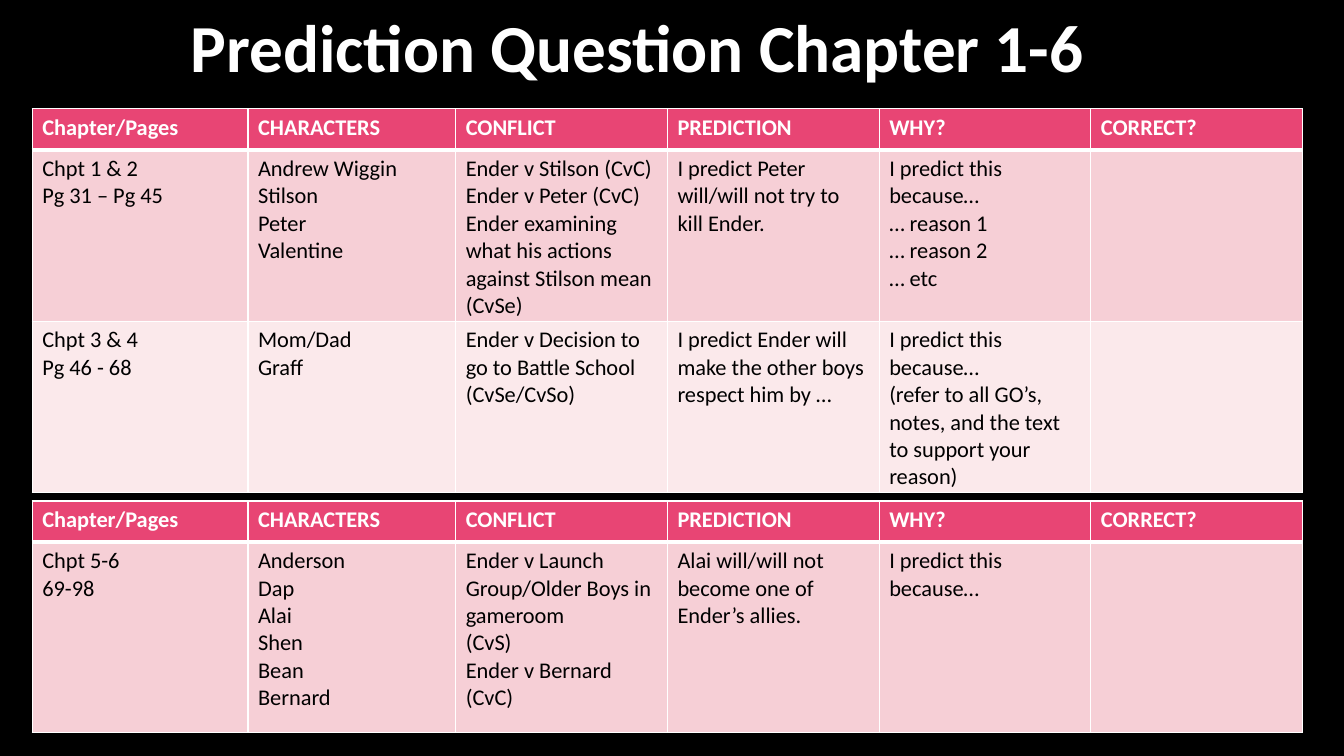
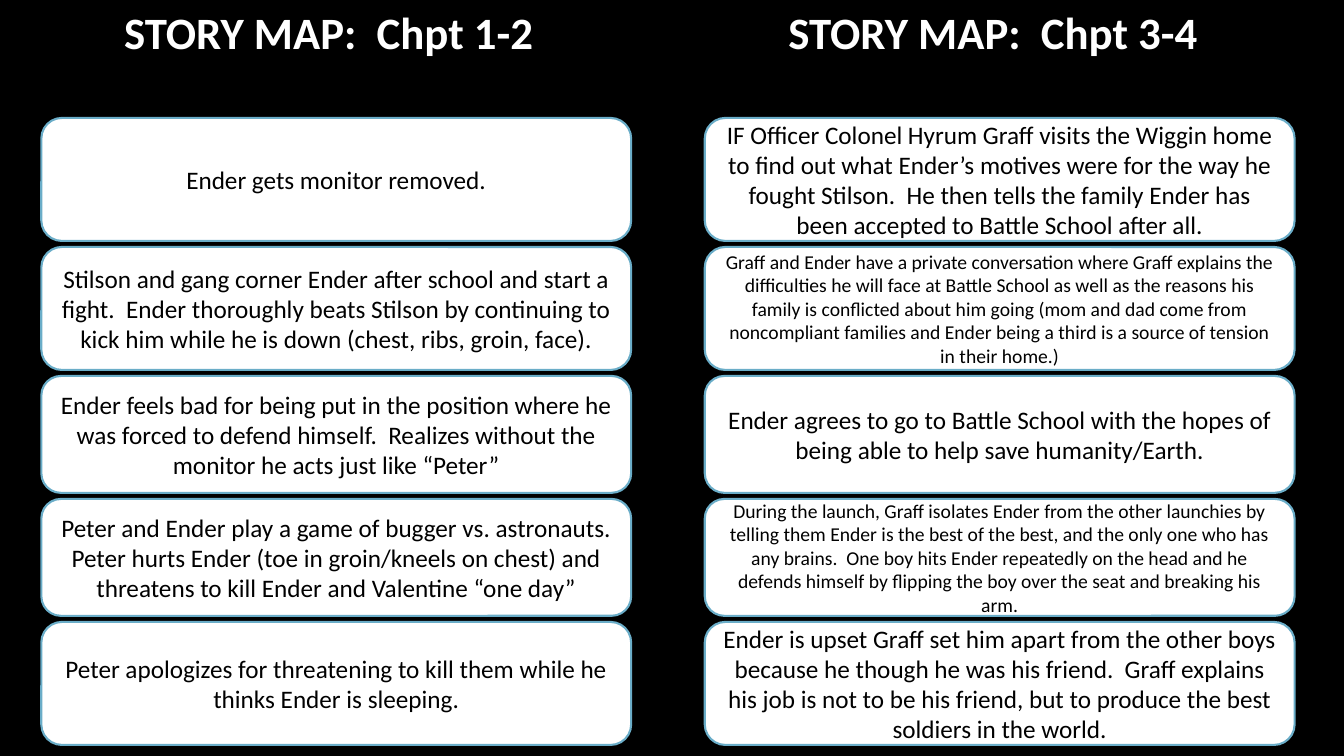
from lxml.etree import SubElement
from pptx import Presentation
from pptx.dml.color import RGBColor
from pptx.enum.shapes import MSO_SHAPE
from pptx.enum.text import MSO_ANCHOR, MSO_AUTO_SIZE, PP_ALIGN
from pptx.oxml.ns import qn
from pptx.util import Inches, Pt

BLACK = RGBColor(0x00, 0x00, 0x00)
WHITE = RGBColor(0xFF, 0xFF, 0xFF)
PINK = RGBColor(0xE8, 0x45, 0x74)
ROSE = RGBColor(0xF6, 0xCF, 0xD6)
BLUSH = RGBColor(0xFB, 0xE9, 0xEB)
BLUE = RGBColor(0x6A, 0xAD, 0xC8)
FONT = "Calibri"

# Prediction tables
WIDTHS = [2.14, 2.06, 2.1, 2.1, 2.1, 2.1]
HEADS = ["Chapter/Pages", "CHARACTERS", "CONFLICT", "PREDICTION", "WHY?", "CORRECT?"]
EARLY = [
    ["Chpt 1 & 2\nPg 31 – Pg 45",
     "Andrew Wiggin\nStilson\nPeter\nValentine",
     "Ender v Stilson (CvC)\nEnder v Peter (CvC)\n"
     "Ender examining what his actions against Stilson mean (CvSe)",
     "I predict Peter will/will not try to kill Ender.",
     "I predict this because…\n… reason 1\n… reason 2\n… etc",
     ""],
    ["Chpt 3 & 4\nPg 46 - 68",
     "Mom/Dad\nGraff",
     "Ender v Decision to go to Battle School (CvSe/CvSo)",
     "I predict Ender will make the other boys respect him by …",
     "I predict this because…\n(refer to all GO’s, notes, and the text to support your reason)",
     ""],
]
LATE = [
    ["Chpt 5-6\n69-98",
     "Anderson\nDap\nAlai\nShen\nBean\nBernard",
     "Ender v Launch Group/Older Boys in gameroom\n(CvS)\nEnder v Bernard\n(CvC)",
     "Alai will/will not become one of Ender’s allies.",
     "I predict this because…",
     ""],
]

# Story maps: text and size of each event
HEIGHTS = [1.22, 1.22, 1.16, 1.16, 1.22]
GAP = 0.06
FIRST = [
    ("Ender gets monitor removed.", 18),
    ("Stilson and gang corner Ender after school and start a fight.  Ender thoroughly beats "
     "Stilson by continuing to kick him while he is down (chest, ribs, groin, face).", 18),
    ("Ender feels bad for being put in the position where he was forced to defend himself.  "
     "Realizes without the monitor he acts just like “Peter”", 18),
    ("Peter and Ender play a game of bugger vs. astronauts. Peter hurts Ender (toe in "
     "groin/kneels on chest) and threatens to kill Ender and Valentine “one day”", 18),
    ("Peter apologizes for threatening to kill them while he thinks Ender is sleeping.", 18),
]
SECOND = [
    ("IF Officer Colonel Hyrum Graff visits the Wiggin home to find out what Ender’s motives "
     "were for the way he fought Stilson.  He then tells the family Ender has been accepted "
     "to Battle School after all.", 18),
    ("Graff and Ender have a private conversation where Graff explains the difficulties he "
     "will face at Battle School as well as the reasons his family is conflicted about him "
     "going (mom and dad come from noncompliant families and Ender being a third is a source "
     "of tension in their home.)", 14),
    ("Ender agrees to go to Battle School with the hopes of being able to help save "
     "humanity/Earth.", 18),
    ("During the launch, Graff isolates Ender from the other launchies by telling them Ender "
     "is the best of the best, and the only one who has any brains.  One boy hits Ender "
     "repeatedly on the head and he defends himself by flipping the boy over the seat and "
     "breaking his arm.", 14),
    ("Ender is upset Graff set him apart from the other boys because he though he was his "
     "friend.  Graff explains his job is not to be his friend, but to produce the best "
     "soldiers in the world.", 18),
]


def write(frame, text, size, color, bold=False, align=PP_ALIGN.LEFT):
    """Fill a text frame, one paragraph per line of text."""
    for i, line in enumerate(text.split("\n")):
        para = frame.add_paragraph() if i else frame.paragraphs[0]
        para.alignment = align
        run = para.add_run()
        run.text = line
        font = run.font
        font.name, font.size, font.bold = FONT, Pt(size), bold
        font.color.rgb = color


def add_page(deck):
    page = deck.slides.add_slide(deck.slide_layouts[5])
    page.background.fill.solid()
    page.background.fill.fore_color.rgb = BLACK
    return page


def set_head(shape, box, text, size):
    """Place and format a slide title or a column heading."""
    shape.left, shape.top, shape.width, shape.height = [Inches(n) for n in box]
    frame = shape.text_frame
    frame.word_wrap = False
    frame.auto_size = MSO_AUTO_SIZE.SHAPE_TO_FIT_TEXT
    frame.vertical_anchor = MSO_ANCHOR.TOP
    write(frame, text, size, WHITE, bold=True)


def set_edge(cell, side, width):
    props = cell._tc.get_or_add_tcPr()
    line = SubElement(props, qn("a:ln" + side), w=str(Pt(width)))
    fill = SubElement(line, qn("a:solidFill"))
    SubElement(fill, qn("a:srgbClr"), val=str(WHITE))


def add_grid(page, left, top, rows, height):
    """Add a prediction table: a header row, then rows of equal height."""
    frame = page.shapes.add_table(
        len(rows) + 1, len(HEADS), Inches(left), Inches(top),
        Inches(sum(WIDTHS)), Inches(0.41 + height * len(rows)))
    table = frame.table
    for col, width in zip(table.columns, WIDTHS):
        col.width = Inches(width)
    for r, texts in enumerate([HEADS] + rows):
        table.rows[r].height = Inches(height if r else 0.41)
        for c, text in enumerate(texts):
            cell = table.cell(r, c)
            # The rule under the header is thicker
            edges = {"L": 1, "R": 1, "T": 3 if r == 1 else 1, "B": 1 if r else 3}
            for side, width in edges.items():
                set_edge(cell, side, width)
            cell.fill.solid()
            cell.fill.fore_color.rgb = (PINK, ROSE, BLUSH)[r]
            if text:
                write(cell.text_frame, text, 16, BLACK if r else WHITE, bold=r == 0)


def add_map(page, left, top, events):
    """Stack the events of one story map downward."""
    for (text, size), height in zip(events, HEIGHTS):
        card = page.shapes.add_shape(
            MSO_SHAPE.ROUNDED_RECTANGLE, Inches(left), Inches(top),
            Inches(5.85), Inches(height))
        card.shadow.inherit = False
        card.fill.solid()
        card.fill.fore_color.rgb = WHITE
        card.line.color.rgb = BLUE
        card.line.width = Pt(1.5)
        frame = card.text_frame
        frame.word_wrap = True
        frame.vertical_anchor = MSO_ANCHOR.MIDDLE
        write(frame, text, size, BLACK, align=PP_ALIGN.CENTER)
        top += height + GAP


def add_guess(deck):
    page = add_page(deck)
    set_head(page.shapes.title, (1.79, 0, 9.16, 0.91), "Prediction Question Chapter 1-6", 48)
    add_grid(page, 0.32, 1.08, EARLY, 1.7)
    add_grid(page, 0.32, 4.97, LATE, 1.89)


def add_story(deck):
    page = add_page(deck)
    set_head(page.shapes.title, (1.13, 0, 4.3, 0.64), "STORY MAP:  Chpt 1-2", 32)
    label = page.shapes.add_textbox(0, 0, 0, 0)
    set_head(label, (7.72, 0, 4.3, 0.64), "STORY MAP:  Chpt 3-4", 32)
    add_map(page, 0.41, 1.17, FIRST)
    add_map(page, 6.99, 1.17, SECOND)


def main():
    deck = Presentation()
    deck.slide_width, deck.slide_height = Inches(13.33), Inches(7.5)
    add_guess(deck)
    add_story(deck)
    deck.save("out.pptx")


if __name__ == "__main__":
    main()
